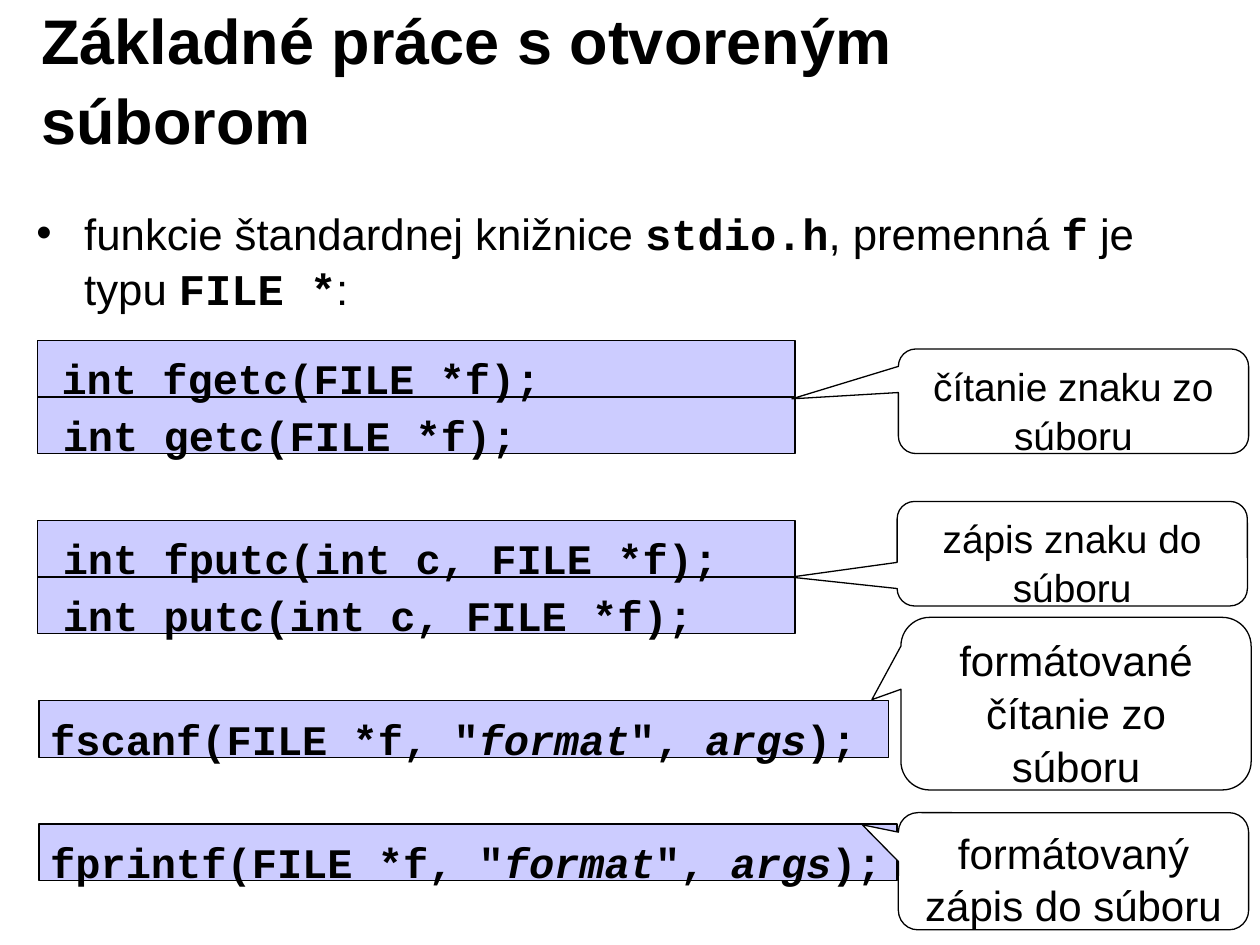
from dataclasses import dataclass

from lxml.etree import SubElement
from pptx import Presentation
from pptx.dml.color import RGBColor
from pptx.enum.shapes import MSO_SHAPE as Preset
from pptx.enum.text import MSO_ANCHOR as Anchor, MSO_AUTO_SIZE as AutoSize, PP_ALIGN as Align
from pptx.oxml.ns import qn
from pptx.util import Inches, Pt


@dataclass(frozen=True)
class Theme:
    text_font: str = "Arial"
    code_font: str = "Courier New"
    ink: RGBColor = RGBColor(0, 0, 0)
    paper: RGBColor = RGBColor(255, 255, 255)
    code_fill: RGBColor = RGBColor(0xCC, 0xCC, 0xFF)
    title_size: float = 36
    body_size: float = 25
    code_size: float = 24
    small_note_size: float = 22.2
    note_size: float = 24
    outline: float = 0.75
    line_spacing: float = 1.05


THEME = Theme()

# A run is its text and a style: "" plain, "b" bold, "c" code, "ci" italic code
TITLE = [("Základné práce s otvoreným súborom", "b")]
BODY = [
    ("funkcie štandardnej knižnice ", ""), ("stdio.h", "c"), (", premenná ", ""),
    ("f", "c"), (" je typu ", ""), ("FILE *", "c"), (":", ""),
]
ARGUMENTS = [("format", "ci"), ("\", ", "c"), ("args", "ci"), (");", "c")]

# Bar left, top, width; text left; grouped; runs
BACK_CODE = [
    (0.3, 3.15, 6.01, 0.4, True, [("int getc(FILE *f);", "c")]),
    (0.3, 4.58, 6.01, 0.4, True, [("int putc(int c, FILE *f);", "c")]),
    (0.31, 5.56, 6.74, 0.3, False, [("fscanf(FILE *f, \"", "c"), *ARGUMENTS]),
    (0.31, 6.54, 6.81, 0.3, False, [("fprintf(FILE *f, \"", "c"), *ARGUMENTS]),
]
FRONT_CODE = [
    (0.3, 2.7, 6.01, 0.39, True, [("int fgetc(FILE *f);", "c")]),
    (0.3, 4.13, 6.01, 0.4, True, [("int fputc(int c, FILE *f);", "c")]),
]
# Left, top, height, pointer offset as shares of the size, text size, text
NOTES = [
    (7.13, 2.77, 0.83, (-0.804, -0.023), THEME.small_note_size, "čítanie znaku zo súboru"),
    (7.12, 3.98, 0.83, (-0.804, 0.224), THEME.small_note_size, "zápis znaku do súboru"),
    (7.15, 4.9, 1.37, (-0.583, -0.023), THEME.note_size, "formátované čítanie zo súboru"),
    (7.13, 6.45, 0.93, (-0.603, -0.396), THEME.note_size, "formátovaný zápis do súboru"),
]
NOTE_WIDTH = 2.78
BAR_HEIGHT = 0.45
CHARACTER_WIDTH = 0.2
CODE_INSET = 0.1


def write(paragraph, runs, size):
    paragraph.line_spacing = THEME.line_spacing
    for text, style in runs:
        run = paragraph.add_run()
        run.text = text
        font = run.font
        font.name = THEME.code_font if "c" in style else THEME.text_font
        font.size = Pt(size)
        font.bold = style != ""
        font.italic = "i" in style
        font.color.rgb = THEME.ink


def add_text(shapes, box, runs, size, wrap=True):
    frame = shapes.add_textbox(*map(Inches, box)).text_frame
    frame.word_wrap = wrap
    write(frame.paragraphs[0], runs, size)
    return frame


def add_outlined(shapes, preset, box, fill):
    shape = shapes.add_shape(preset, *map(Inches, box))
    shape.shadow.inherit = False
    shape.fill.solid()
    shape.fill.fore_color.rgb = fill
    shape.line.color.rgb = THEME.ink
    shape.line.width = Pt(THEME.outline)
    return shape


def add_bullet(paragraph, indent):
    properties = paragraph._p.get_or_add_pPr()
    properties.set("marL", str(Inches(indent)))
    properties.set("indent", str(-Inches(indent)))
    SubElement(properties, qn("a:buFont")).set("typeface", THEME.text_font)
    SubElement(properties, qn("a:buChar")).set("char", "•")


def add_code(slide, left, top, width, text_left, grouped, runs):
    shapes = slide.shapes.add_group_shape().shapes if grouped else slide.shapes
    add_outlined(shapes, Preset.RECTANGLE, (left, top, width, BAR_HEIGHT), THEME.code_fill)
    characters = sum(len(text) for text, _ in runs)
    text_width = characters * CHARACTER_WIDTH + 2 * CODE_INSET
    frame = add_text(shapes, (text_left, top, text_width, 0.5), runs, THEME.code_size, wrap=False)
    frame.auto_size = AutoSize.SHAPE_TO_FIT_TEXT
    frame.margin_top, frame.margin_bottom = Inches(0.08), Inches(0.02)


def add_note(slide, left, top, height, pointer, size, text):
    shape = add_outlined(slide.shapes, Preset.ROUNDED_RECTANGULAR_CALLOUT,
                         (left, top, NOTE_WIDTH, height), THEME.paper)
    shape.adjustments[0], shape.adjustments[1] = pointer
    frame = shape.text_frame
    frame.word_wrap = True
    frame.vertical_anchor = Anchor.TOP
    frame.margin_left = frame.margin_right = Inches(0.09)
    paragraph = frame.paragraphs[0]
    paragraph.alignment = Align.CENTER
    write(paragraph, [(text, "")], size)


def main():
    presentation = Presentation()
    presentation.slide_width, presentation.slide_height = Inches(10), Inches(7.5)
    slide = presentation.slides.add_slide(presentation.slide_layouts[6])

    title = add_text(slide.shapes, (0.23, 0.15, 8.03, 0.93), TITLE, THEME.title_size)
    title.vertical_anchor = Anchor.MIDDLE
    body = add_text(slide.shapes, (0.19, 1.57, 9.61, 1.13), BODY, THEME.body_size)
    add_bullet(body.paragraphs[0], 0.38)

    for code in BACK_CODE:
        add_code(slide, *code)
    for note in NOTES:
        add_note(slide, *note)
    for code in FRONT_CODE:
        add_code(slide, *code)

    presentation.save("out.pptx")


if __name__ == "__main__":
    main()
